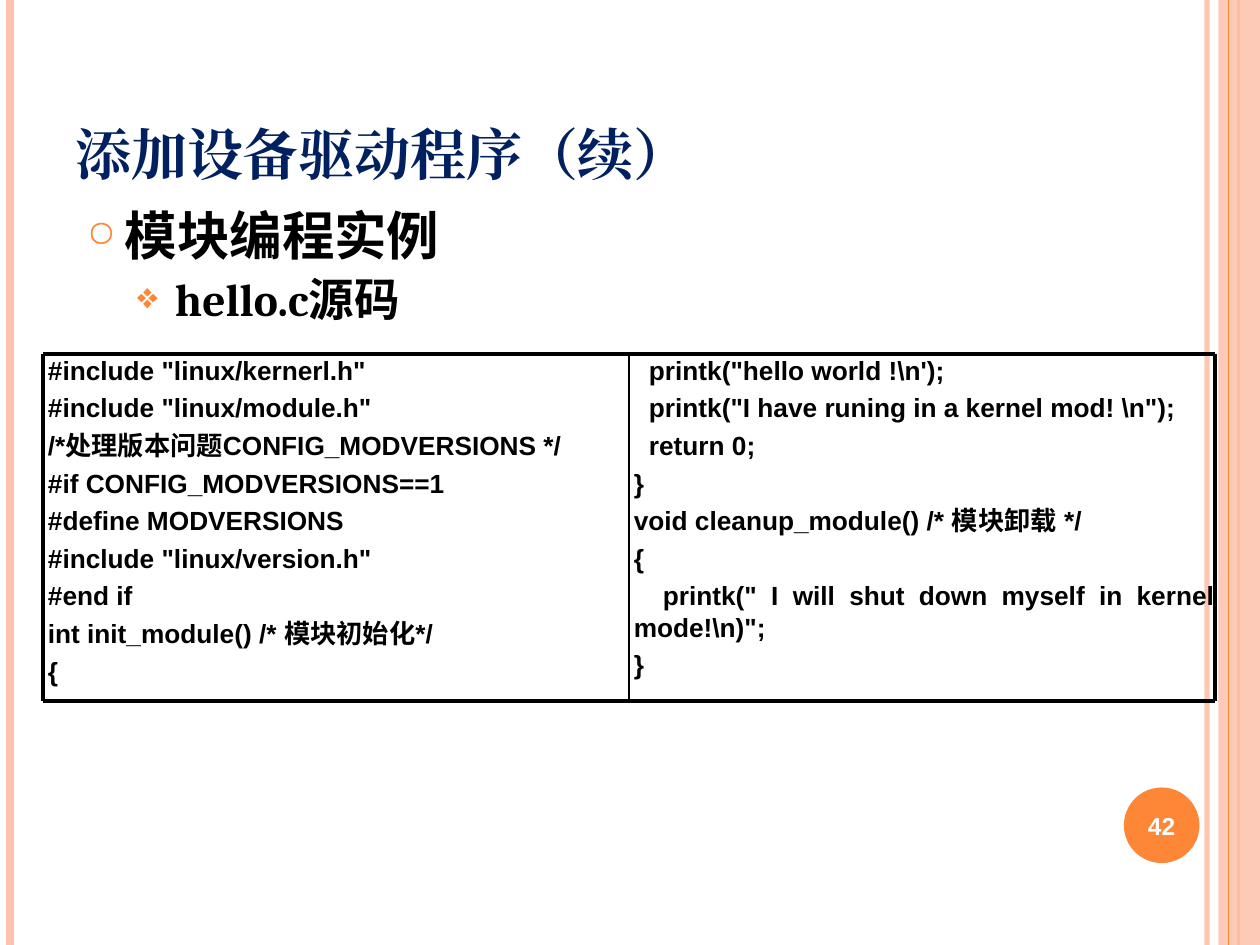
from typing import NamedTuple, Optional

from lxml.etree import SubElement
from pptx import Presentation
from pptx.dml.color import RGBColor
from pptx.enum.shapes import MSO_CONNECTOR as Connector, MSO_SHAPE as Preset
from pptx.enum.text import MSO_ANCHOR as Anchor, PP_ALIGN as Align
from pptx.oxml.ns import qn
from pptx.util import Inches, Pt

WIDTH, HEIGHT = 10, 7.5
ORANGE, PEACH, NAVY, BLACK, WHITE = "FE8637", "FEC3AE", "002060", "000000", "FFFFFF"
CJK = "Noto Sans CJK SC"

# The code frame has two equal columns
FRAME_LEFT, FRAME_TOP, COLUMN, ROW = 0.34, 2.81, 4.65, 2.75
COLUMN_EDGES = [FRAME_LEFT + COLUMN * i for i in range(3)]
ROW_EDGES = [FRAME_TOP, FRAME_TOP + ROW]


class Stripe(NamedTuple):
    x: float
    color: str
    weight: float
    opacity: int = 100


class CodeLine(NamedTuple):
    text: str
    margin: float = 0
    first_line: float = 0


class Topic(NamedTuple):
    wording: list[tuple[str, str]]
    size: int
    margin: float
    bullet: str
    bullet_share: int
    level: int = 0


STRIPES = [
    Stripe(9.58, PEACH, 3, 93),
    Stripe(0.08, PEACH, 4.5),
    Stripe(9.83, ORANGE, 1.5),
]
BAND_EDGE = Stripe(9.75, ORANGE, 0.75)

TOPICS = [
    Topic([("模块编程实例", CJK)], 30, 0.3, "○", 70),
    Topic([("hello.c", "Cambria"), ("源码", CJK)], 26, 0.7, "❖", 80, 1),
]

CODE_COLUMNS = [
    [
        CodeLine('#include "linux/kernerl.h"'),
        CodeLine('#include "linux/module.h"'),
        CodeLine("/*处理版本问题CONFIG_MODVERSIONS */"),
        CodeLine("#if CONFIG_MODVERSIONS==1"),
        CodeLine("#define MODVERSIONS"),
        CodeLine('#include "linux/version.h"'),
        CodeLine("#end if"),
        CodeLine("int init_module() /* 模块初始化*/"),
        CodeLine("{"),
    ],
    [
        CodeLine('printk("hello world !\\n\');', margin=0.12),
        CodeLine('printk("I have runing in a kernel mod! \\n");', margin=0.12),
        CodeLine("return 0;", margin=0.12),
        CodeLine("}"),
        CodeLine("void cleanup_module() /* 模块卸载 */"),
        CodeLine("{"),
        CodeLine('printk(" I will shut down myself in kernel mode!\\n)";', first_line=0.23),
        CodeLine("}"),
    ],
]


def rgb(color: str) -> RGBColor:
    return RGBColor.from_string(color)


def set_opacity(fill_owner, percent: int) -> None:
    color = next(fill_owner.iter(qn("a:srgbClr")))
    SubElement(color, qn("a:alpha"), val=str(percent * 1000))


def draw_line(slide, start: tuple, end: tuple, color: str, weight: float,
              opacity: int = 100) -> None:
    ends = [Inches(v) for v in (*start, *end)]
    rule = slide.shapes.add_connector(Connector.STRAIGHT, *ends)
    rule.line.color.rgb = rgb(color)
    rule.line.width = Pt(weight)
    properties = rule._element.spPr
    if opacity < 100:
        set_opacity(properties, opacity)
    SubElement(properties, qn("a:effectLst"))


def draw_stripe(slide, stripe: Stripe) -> None:
    draw_line(slide, (stripe.x, 0), (stripe.x, HEIGHT),
              stripe.color, stripe.weight, stripe.opacity)


def draw_shape(slide, preset, box: tuple, color: str):
    shape = slide.shapes.add_shape(preset, *map(Inches, box))
    shape.shadow.inherit = False
    shape.fill.solid()
    shape.fill.fore_color.rgb = rgb(color)
    shape.line.fill.background()
    return shape


def add_text_frame(slide, box: tuple, inset: Optional[float] = None):
    """Wrapped text box; inset sets the left margin and clears the others."""
    frame = slide.shapes.add_textbox(*map(Inches, box)).text_frame
    frame.word_wrap = True
    if inset is not None:
        frame.margin_left = Inches(inset)
        frame.margin_top = frame.margin_right = frame.margin_bottom = 0
    return frame


def style_run(run, size: float, font: str, color: str) -> None:
    run.font.size, run.font.bold, run.font.name = Pt(size), True, font
    run.font.color.rgb = rgb(color)
    SubElement(run._r.get_or_add_rPr(), qn("a:ea"), typeface=font)


def next_paragraph(frame, index: int):
    return frame.add_paragraph() if index else frame.paragraphs[0]


def set_indent(paragraph, margin: float, first_line: float) -> None:
    properties = paragraph._p.get_or_add_pPr()
    properties.set("marL", str(Inches(margin)))
    properties.set("indent", str(Inches(first_line)))


def write_title(slide, title: str) -> None:
    frame = add_text_frame(slide, (0.5, 0.3, 8.17, 1.25))
    frame.vertical_anchor = Anchor.BOTTOM
    frame.text = title
    run = frame.paragraphs[0].runs[0]
    style_run(run, 40, "Cambria", NAVY)
    run._r.rPr.set("cap", "small")


def write_topics(slide, topics: list[Topic]) -> None:
    frame = add_text_frame(slide, (0.59, 1.62, 9.08, 1.15))
    for index, topic in enumerate(topics):
        paragraph = next_paragraph(frame, index)
        paragraph.level = topic.level
        paragraph.line_spacing, paragraph.space_before = 0.9, Pt(6)
        set_indent(paragraph, topic.margin, -0.3)
        properties = paragraph._p.pPr
        bullet_color = SubElement(properties, qn("a:buClr"))
        SubElement(bullet_color, qn("a:srgbClr"), val=ORANGE)
        SubElement(properties, qn("a:buSzPct"), val=str(topic.bullet_share * 1000))
        SubElement(properties, qn("a:buChar"), char=topic.bullet)
        for text, font in topic.wording:
            run = paragraph.add_run()
            run.text = text
            style_run(run, topic.size, font, BLACK)


def write_code(slide, left: float, lines: list[CodeLine]) -> None:
    frame = add_text_frame(slide, (left, FRAME_TOP, COLUMN, ROW), inset=0.04)
    for index, line in enumerate(lines):
        paragraph = next_paragraph(frame, index)
        paragraph.text = line.text
        paragraph.alignment, paragraph.space_before = Align.JUSTIFY, Pt(3.5)
        set_indent(paragraph, line.margin, line.first_line)
        style_run(paragraph.runs[0], 15, "Arial", BLACK)


def draw_code_frame(slide) -> None:
    for y in ROW_EDGES:
        draw_line(slide, (COLUMN_EDGES[0], y), (COLUMN_EDGES[-1], y), BLACK, 2.25)
    for x, weight in zip(COLUMN_EDGES, (2.25, 1, 2.25)):
        draw_line(slide, (x, ROW_EDGES[0]), (x, ROW_EDGES[1]), BLACK, weight)


def draw_page_number(slide, number: str) -> None:
    frame = draw_shape(slide, Preset.OVAL, (8.92, 6.25, 0.6, 0.6), ORANGE).text_frame
    frame.margin_left = frame.margin_right = frame.margin_top = frame.margin_bottom = 0
    frame.vertical_anchor = Anchor.MIDDLE
    frame.text = number
    frame.paragraphs[0].alignment = Align.CENTER
    style_run(frame.paragraphs[0].runs[0], 14, "Arial", WHITE)


def main() -> None:
    deck = Presentation()
    deck.slide_width, deck.slide_height = Inches(WIDTH), Inches(HEIGHT)
    slide = deck.slides.add_slide(deck.slide_layouts[6])
    for stripe in STRIPES:
        draw_stripe(slide, stripe)
    band = draw_shape(slide, Preset.RECTANGLE, (9.67, 0, 0.33, HEIGHT), PEACH)
    set_opacity(band._element.spPr, 87)
    draw_stripe(slide, BAND_EDGE)
    draw_page_number(slide, "42")
    write_title(slide, "添加设备驱动程序（续）")
    write_topics(slide, TOPICS)
    for left, lines in zip(COLUMN_EDGES, CODE_COLUMNS):
        write_code(slide, left, lines)
    draw_code_frame(slide)
    deck.save("out.pptx")


if __name__ == "__main__":
    main()
